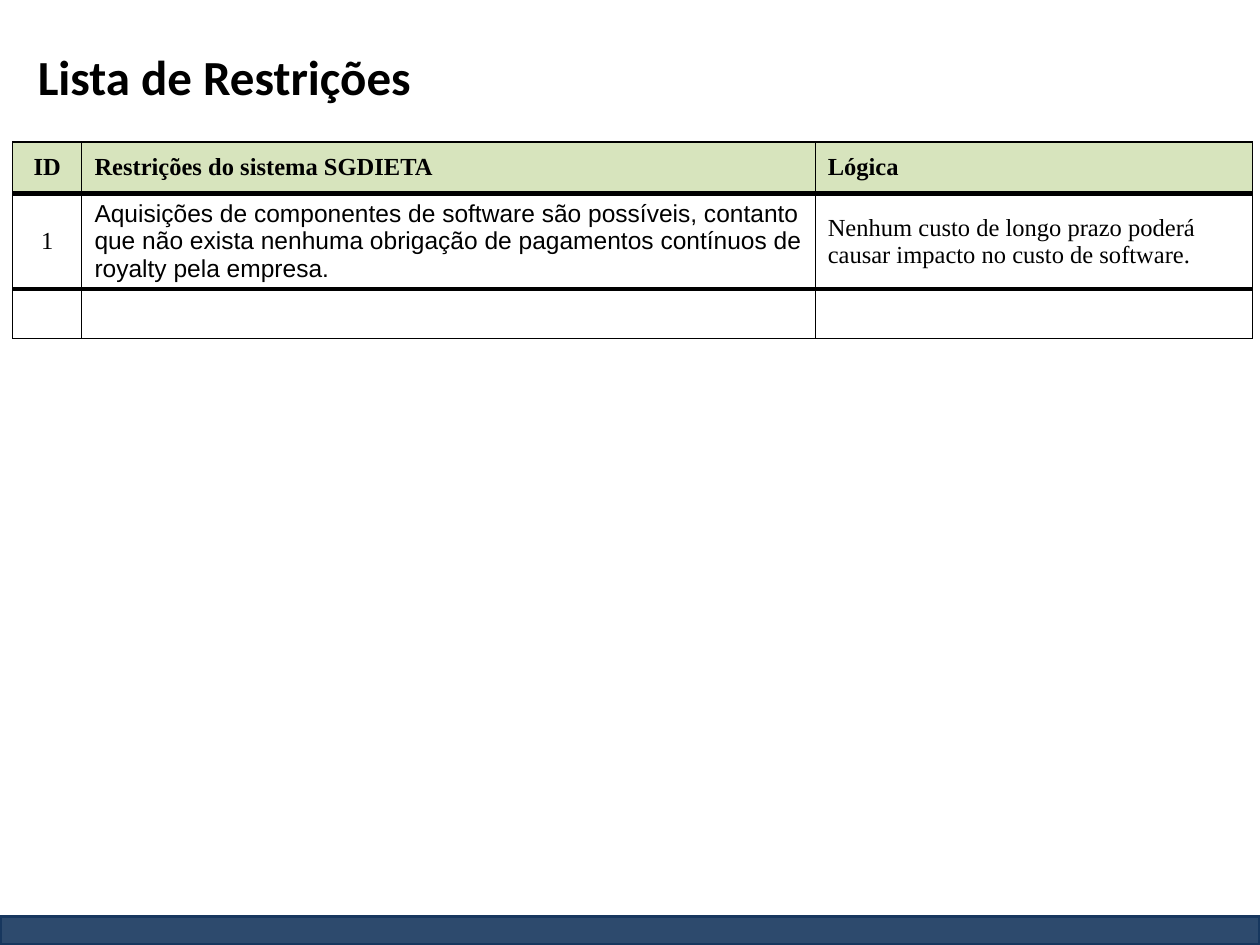
from lxml import etree
from pptx import Presentation, util as u
from pptx.dml.color import RGBColor
from pptx.enum import shapes, text
from pptx.oxml.ns import qn


def color(value):
    return RGBColor.from_string(value)


class Deck:
    INK, HEADER, NAVY = "000000", "D7E4BD", "17375E"
    SERIF, SANS, HEADING = "Times New Roman", "Arial", "Calibri"

    def __init__(self, width, height):
        self.deck = Presentation()
        self.deck.slide_width, self.deck.slide_height = u.Inches(width), u.Inches(height)
        self.width, self.height = width, height
        self.slide = self.deck.slides.add_slide(self.deck.slide_layouts[5])

    def box(self, x, y, w, h):
        return [u.Inches(share * side) for share, side in
                zip((x, y, w, h), (self.width, self.height) * 2)]

    def style(self, paragraph, size, face, bold=False, align=text.PP_ALIGN.LEFT):
        paragraph.alignment = align
        font = paragraph.font
        font.size, font.name, font.bold = u.Pt(size), face, bold
        font.color.rgb = color(self.INK)

    def title(self, words, *shares):
        heading = self.slide.shapes.title
        heading.left, heading.top, heading.width, heading.height = self.box(*shares)
        heading.text_frame.text = words
        heading.text_frame.vertical_anchor = text.MSO_ANCHOR.MIDDLE
        self.style(heading.text_frame.paragraphs[0], 28, self.HEADING, True)

    def band(self, *shares):
        footer = self.slide.shapes.add_shape(shapes.MSO_SHAPE.RECTANGLE, *self.box(*shares))
        footer.shadow.inherit = False
        footer.fill.solid()
        footer.fill.fore_color.rgb = color(self.NAVY)
        tint = footer.fill._xPr.find(qn("a:solidFill"))[0]
        etree.SubElement(tint, qn("a:alpha"), val="90000")
        footer.line.color.rgb = color(self.NAVY)
        footer.line.width = u.Pt(2)

    def borders(self, cell, **widths):
        props = cell._tc.get_or_add_tcPr()
        for side, width in widths.items():
            edge = etree.SubElement(props, qn("a:ln" + side), w=str(u.Pt(width)))
            fill = etree.SubElement(edge, qn("a:solidFill"))
            etree.SubElement(fill, qn("a:srgbClr"), val=self.INK)

    def table(self, rows, columns, heights, rules, *shares):
        grid = self.slide.shapes.add_table(len(rows), len(columns), *self.box(*shares)).table
        for column, width in zip(grid.columns, columns):
            column.width = u.Inches(width)
        for r, (row, height) in enumerate(zip(rows, heights)):
            grid.rows[r].height = u.Inches(height)
            for c, words in enumerate(row):
                cell = grid.cell(r, c)
                cell.text = words
                cell.vertical_anchor = text.MSO_ANCHOR.MIDDLE
                self.borders(cell, L=0.75, R=0.75, T=rules[r], B=rules[r + 1])
                if r == 0:
                    cell.fill.solid()
                    cell.fill.fore_color.rgb = color(self.HEADER)
                else:
                    cell.fill.background()
                face = self.SANS if (r, c) == (1, 1) else self.SERIF
                align = text.PP_ALIGN.LEFT if c else text.PP_ALIGN.CENTER
                self.style(cell.text_frame.paragraphs[0], 14, face, r == 0, align)

    def save(self):
        self.deck.save("out.pptx")


restrictions = [
    ("ID", "Restrições do sistema SGDIETA", "Lógica"),
    ("1",
     "Aquisições de componentes de software são possíveis, contanto que não exista "
     "nenhuma obrigação de pagamentos contínuos de royalty pela empresa.",
     "Nenhum custo de longo prazo poderá causar impacto no custo de software."),
    ("", "", ""),
]

page = Deck(10, 7.5)
page.band(0, 0.97, 1, 0.03)
page.title("Lista de Restrições", 0.02, 0.04, 0.96, 0.08)
page.table(restrictions, (0.55, 5.82, 3.47), (0.41, 0.76, 0.39), (1, 3, 3, 0.75),
           0.01, 0.15, 0.98, 0.21)
page.save()
